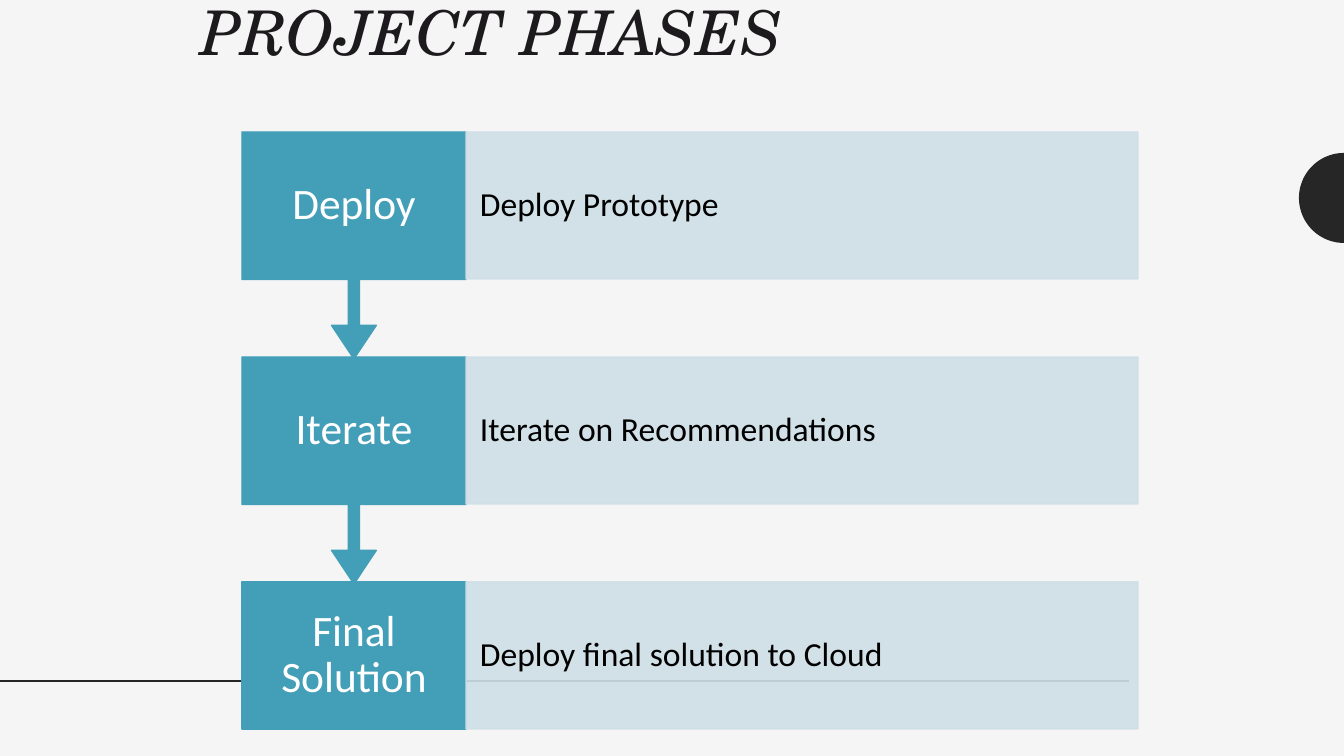
"""Build the project phases slide: three stages joined by downward arrows."""
from math import cos, pi, sin

from lxml.etree import SubElement
from pptx import Presentation
from pptx.dml.color import RGBColor
from pptx.enum.shapes import MSO_CONNECTOR, MSO_SHAPE as SHAPE
from pptx.enum.text import MSO_ANCHOR as ANCHOR, PP_ALIGN as ALIGN
from pptx.oxml.ns import qn
from pptx.util import Pt

PAPER = RGBColor(0xF5, 0xF5, 0xF5)
CHARCOAL = RGBColor(0x26, 0x26, 0x26)
INK = RGBColor(0x1D, 0x1A, 0x1D)
TEAL = RGBColor(0x43, 0x9E, 0xB7)
MIST = RGBColor(0xCF, 0xDF, 0xE6)
WHITE = RGBColor(0xFF, 0xFF, 0xFF)
BLACK = RGBColor(0x00, 0x00, 0x00)


def px(length):
    return round(length * 914400 / 100.8)


def add_panel(kind, box, color, text, size, text_color, align, insets):
    panel = slide.shapes.add_shape(kind, *map(px, box))
    panel.shadow.inherit = False
    panel.fill.solid()
    panel.fill.fore_color.rgb = color
    panel.line.color.rgb = color
    panel.line.width = Pt(1)
    frame = panel.text_frame
    frame.text = text
    frame.word_wrap = True
    frame.vertical_anchor = ANCHOR.MIDDLE
    frame.margin_left = frame.margin_right = px(insets[0])
    frame.margin_top = frame.margin_bottom = px(insets[1])
    paragraph = frame.paragraphs[0]
    paragraph.alignment = align
    paragraph.line_spacing = 0.9
    font = paragraph.runs[0].font
    font.name = "Calibri"
    font.size = Pt(size)
    font.color.rgb = text_color
    return panel


deck = Presentation()
deck.slide_width, deck.slide_height = px(1344), px(756)
slide = deck.slides.add_slide(deck.slide_layouts[5])
slide.background.fill.solid()
slide.background.fill.fore_color.rgb = PAPER

RADIUS, STEPS = 45, 48
arc = [(px(1344 - RADIUS * sin(pi * i / STEPS)), px(198 - RADIUS * cos(pi * i / STEPS)))
       for i in range(STEPS + 1)]
outline = slide.shapes.build_freeform(*arc[0])
outline.add_line_segments(arc[1:], close=True)
half_disc = outline.convert_to_shape()
half_disc.shadow.inherit = False
half_disc.fill.solid()
half_disc.fill.fore_color.rgb = CHARCOAL
half_disc.line.fill.background()

rule = slide.shapes.add_connector(MSO_CONNECTOR.STRAIGHT, px(1129), px(681), 0, px(681))
rule.line.color.rgb = CHARCOAL
rule.line.width = Pt(2)
SubElement(rule._element.spPr, qn("a:effectLst"))

title = slide.shapes.title
title.left, title.top, title.width, title.height = map(px, (53, 0, 740, 146))
heading = title.text_frame
heading.text = "PROJECT PHASES"
heading.vertical_anchor = ANCHOR.TOP
heading.margin_top = px(5)
heading.paragraphs[0].alignment = ALIGN.RIGHT
heading.paragraphs[0].line_spacing = 0.85
heading_font = heading.paragraphs[0].runs[0].font
heading_font.name = "TeX Gyre Schola"
heading_font.size = Pt(44)
heading_font.italic = True
heading_font.color.rgb = INK

PHASES = [
    ("Deploy", "Deploy Prototype"),
    ("Iterate", "Iterate on Recommendations"),
    ("Final Solution", "Deploy final solution to Cloud"),
]
LEFT, TOP, PITCH = 242, 132, 225
STAGE_WIDTH, DETAIL_WIDTH, ROW_HEIGHT, CALLOUT_HEIGHT = 224, 672, 147, 227

for row, (stage, detail) in reversed(list(enumerate(PHASES))):
    top = TOP + row * PITCH
    is_last = row == len(PHASES) - 1
    kind = SHAPE.RECTANGLE if is_last else SHAPE.DOWN_ARROW_CALLOUT
    height = ROW_HEIGHT if is_last else CALLOUT_HEIGHT
    stage_box = add_panel(kind, (LEFT, top, STAGE_WIDTH, height), TEAL,
                          stage, 31, WHITE, ALIGN.CENTER, (16, 24))
    if not is_last:
        for i, ratio in enumerate((0.05, 0.1, 0.15, 0.65)):
            stage_box.adjustments[i] = ratio
    detail_box = add_panel(SHAPE.RECTANGLE, (LEFT + STAGE_WIDTH, top, DETAIL_WIDTH, ROW_HEIGHT),
                           MIST, detail, 24, BLACK, ALIGN.LEFT, (14, 33))
    for color in detail_box._element.spPr.iter(qn("a:srgbClr")):
        SubElement(color, qn("a:alpha"), val="90000")

deck.save("out.pptx")
